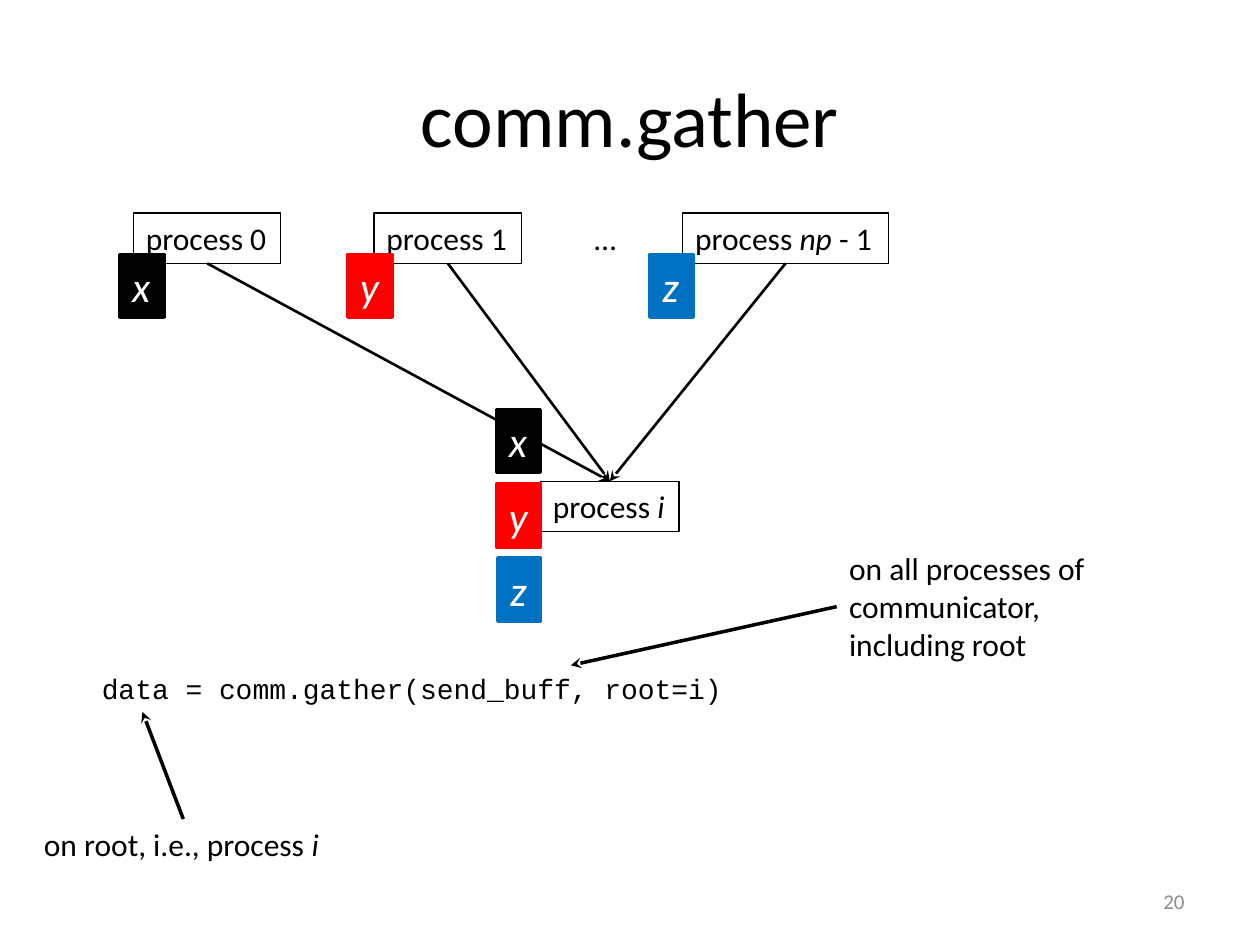
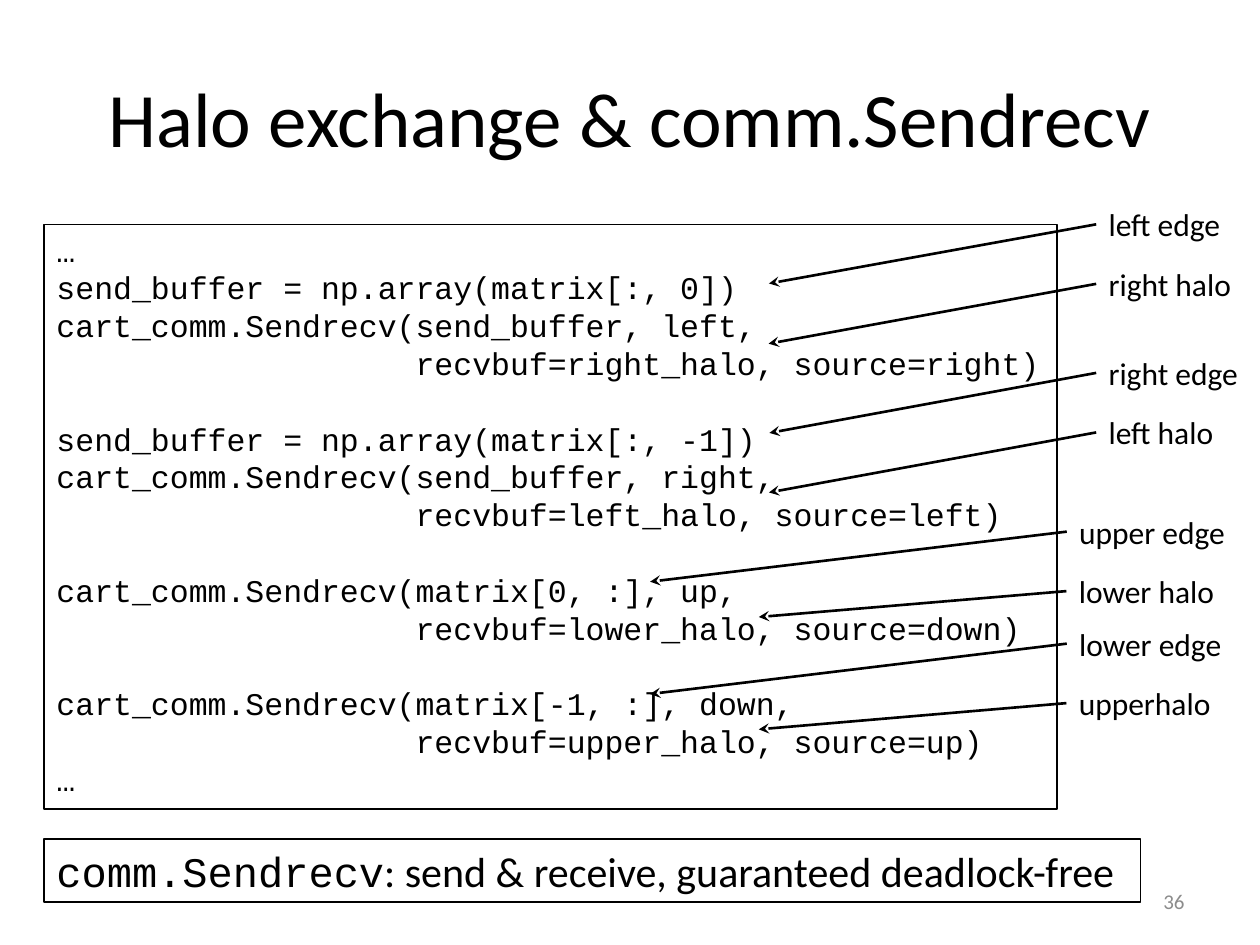
from dataclasses import dataclass
from typing import Optional

from lxml.etree import SubElement
from pptx import Presentation
from pptx.dml.color import RGBColor
from pptx.enum.shapes import MSO_CONNECTOR as Connector, MSO_SHAPE as Preset
from pptx.enum.text import MSO_ANCHOR as Anchor, MSO_AUTO_SIZE as AutoSize, PP_ALIGN as Align
from pptx.oxml.ns import qn
from pptx.shapes.autoshape import Shape
from pptx.slide import Slide
from pptx.util import Pt

COLORS = {
    "black": "000000",
    "white": "FFFFFF",
    "red": "FF0000",
    "blue": "0070C0",
    "gray": "8C8C8C",
}
BODY, CODE = "Calibri", "Courier New"
TOP, LEFT, BOTTOM = 0, 1, 2
ROW_HEIGHT = 28.8
CODE_LINE = 21.6
TILE_HEIGHT = 36


@dataclass(frozen=True)
class Run:
    text: str
    font: str = BODY
    italic: bool = False


@dataclass(frozen=True)
class Box:
    left: float
    top: float
    width: float
    height: float
    text: str
    more: tuple[Run, ...] = ()
    size: float = 18
    font: str = BODY
    italic: bool = False
    color: str = "black"
    fill: Optional[str] = None
    line: Optional[str] = None
    line_width: float = 0.75
    align: Align = Align.LEFT
    anchor: Anchor = Anchor.TOP
    wrap: bool = False
    grow: bool = True


@dataclass(frozen=True)
class Tile:
    text: str
    color: str
    width: float
    sender_left: float


@dataclass(frozen=True)
class Callout:
    text: str
    left: float
    top: float
    width: float
    tip_x: float
    tip_y: float


TILES = (
    Tile("x", "black", 25.2, 68.4),
    Tile("y", "red", 25.2, 198.7),
    Tile("z", "blue", 24.5, 371.5),
)

SENDERS = (
    Box(76.3, 121.7, 84.2, ROW_HEIGHT, "process 0", line="black"),
    Box(213.8, 121.7, 84.2, ROW_HEIGHT, "process 1", line="black"),
    Box(390.2, 121.7, 117.4, ROW_HEIGHT, "process ",
        (Run("np", italic=True), Run(" - 1")), line="black"),
)

CODE_BLOCKS = (
    """…
send_buffer = np.array(matrix[:, 0])
cart_comm.Sendrecv(send_buffer, left,
                   recvbuf=right_halo, source=right)""",
    """send_buffer = np.array(matrix[:, -1])
cart_comm.Sendrecv(send_buffer, right,
                   recvbuf=left_halo, source=left)""",
    """cart_comm.Sendrecv(matrix[0, :], up,
                   recvbuf=lower_halo, source=down)""",
    """cart_comm.Sendrecv(matrix[-1, :], down,
                   recvbuf=upper_halo, source=up)
…""",
)

CALLOUTS = (
    Callout("left edge", 626.4, 113.8, 79.9, 439.4, 162),
    Callout("right halo", 626.4, 147.8, 85, 439.2, 196.4),
    Callout("right edge", 626.4, 198.7, 89.3, 439.7, 247.4),
    Callout("left halo", 626.4, 232.7, 75.6, 439.4, 281.4),
    Callout("upper edge", 609.6, 289.4, 99.4, 371.5, 332.4),
    Callout("lower halo", 609.4, 323.4, 92.9, 433.6, 352.6),
    Callout("lower edge", 609.6, 353.4, 96.5, 371.5, 396.6),
    Callout("upperhalo", 609.4, 387.4, 90.7, 433.6, 416.8),
)


def rgb(name: str) -> RGBColor:
    return RGBColor.from_string(COLORS[name])


def add_box(slide: Slide, box: Box) -> Shape:
    frame = [Pt(value) for value in (box.left, box.top, box.width, box.height)]
    if box.line:
        shape = slide.shapes.add_shape(Preset.RECTANGLE, *frame)
        shape.shadow.inherit = False
        shape.line.color.rgb = rgb(box.line)
        shape.line.width = Pt(box.line_width)
        if box.fill:
            shape.fill.solid()
            shape.fill.fore_color.rgb = rgb(box.fill)
        else:
            shape.fill.background()
    else:
        shape = slide.shapes.add_textbox(*frame)
    text_frame = shape.text_frame
    text_frame.text = box.text
    text_frame.word_wrap = box.wrap
    text_frame.auto_size = AutoSize.SHAPE_TO_FIT_TEXT if box.grow else AutoSize.NONE
    text_frame.vertical_anchor = box.anchor
    for paragraph in text_frame.paragraphs:
        paragraph.alignment = box.align
        for run in paragraph.runs:
            style_run(run, box, box.font, box.italic)
    for part in box.more:
        run = text_frame.paragraphs[-1].add_run()
        run.text = part.text
        style_run(run, box, part.font, part.italic)
    return shape


def style_run(run, box: Box, font: str, italic: bool) -> None:
    run.font.name = font
    run.font.size = Pt(box.size)
    run.font.italic = italic
    run.font.color.rgb = rgb(box.color)


def add_arrow(slide: Slide, start: Shape, side: int, tip_x: float, tip_y: float,
              width: float = 1.5, target: Optional[Shape] = None) -> None:
    arrow = slide.shapes.add_connector(
        Connector.STRAIGHT, start.left, start.top, Pt(tip_x), Pt(tip_y))
    arrow.begin_connect(start, side)
    if target is not None:
        arrow.end_connect(target, TOP)
    arrow.line.color.rgb = rgb("black")
    arrow.line.width = Pt(width)
    SubElement(arrow.line._get_or_add_ln(), qn("a:tailEnd"), type="stealth")
    SubElement(arrow._element.spPr, qn("a:effectLst"))


def add_tile(slide: Slide, tile: Tile, left: float, top: float) -> None:
    add_box(slide, Box(left, top, tile.width, TILE_HEIGHT, tile.text, size=24,
                       italic=True, color="white", fill=tile.color,
                       line=tile.color, line_width=2))


def add_slide(presentation, title: str, number: int) -> Slide:
    slide = presentation.slides.add_slide(presentation.slide_layouts[6])
    add_box(slide, Box(36, 21.6, 648, 90, title, size=44, align=Align.CENTER,
                       anchor=Anchor.MIDDLE, wrap=True, grow=False))
    add_box(slide, Box(516, 500.5, 168, ROW_HEIGHT, str(number), size=12, color="gray",
                       align=Align.RIGHT, anchor=Anchor.MIDDLE, wrap=True, grow=False))
    return slide


def build_gather(presentation) -> None:
    slide = add_slide(presentation, "comm.gather", 20)
    root = Box(308.9, 275, 79.2, ROW_HEIGHT, "process ",
               (Run("i", italic=True),), line="black")
    root_shape = add_box(slide, root)
    add_box(slide, Box(332.6, 121.7, 27.4, ROW_HEIGHT, "…"))
    for sender in SENDERS:
        add_arrow(slide, add_box(slide, sender), BOTTOM,
                  root.left + root.width / 2, root.top, target=root_shape)
    for index, tile in enumerate(TILES):
        add_tile(slide, tile, tile.sender_left, 145.4)
        add_tile(slide, tile, root.left - tile.width, 234 + 42.5 * index)
    add_box(slide, Box(51.1, 380.2, 581, 26.6, "data = comm.gather(send_buff, root=i)",
                       size=16, font=CODE, wrap=True))
    everyone = add_box(slide, Box(
        478.1, 310.3, 150.5, 72.7,
        "on all processes of\ncommunicator,\nincluding root"))
    add_arrow(slide, everyone, LEFT, 326.2, 380.2, 2)
    root_note = add_box(slide, Box(18, 468, 173.5, ROW_HEIGHT, "on root, i.e., process ",
                                   (Run("i", italic=True),)))
    add_arrow(slide, root_note, TOP, 81.4, 406.8, 2)


def build_halo_exchange(presentation) -> None:
    slide = add_slide(presentation, "Halo exchange & comm.Sendrecv", 36)
    code = add_box(slide, Box(25.2, 128.2, 578.9, 334.1, "\n".join(CODE_BLOCKS),
                              font=CODE, line="black", grow=False))
    paragraphs = code.text_frame.paragraphs
    for paragraph in paragraphs:
        paragraph.line_spacing = Pt(CODE_LINE)
    block_start = 0
    for block in CODE_BLOCKS[:-1]:
        block_start += len(block.splitlines())
        paragraphs[block_start].space_before = Pt(CODE_LINE)
    for callout in CALLOUTS:
        label = add_box(slide, Box(callout.left, callout.top, callout.width,
                                   ROW_HEIGHT, callout.text))
        add_arrow(slide, label, LEFT, callout.tip_x, callout.tip_y)
    add_box(slide, Box(25.2, 479.5, 626.4, 36, "comm.Sendrecv",
                       (Run(": send & receive, guaranteed deadlock-free"),),
                       size=24, font=CODE, line="black"))


def main() -> None:
    presentation = Presentation()
    presentation.slide_width = Pt(720)
    presentation.slide_height = Pt(540)
    build_gather(presentation)
    build_halo_exchange(presentation)
    presentation.save("out.pptx")


if __name__ == "__main__":
    main()
